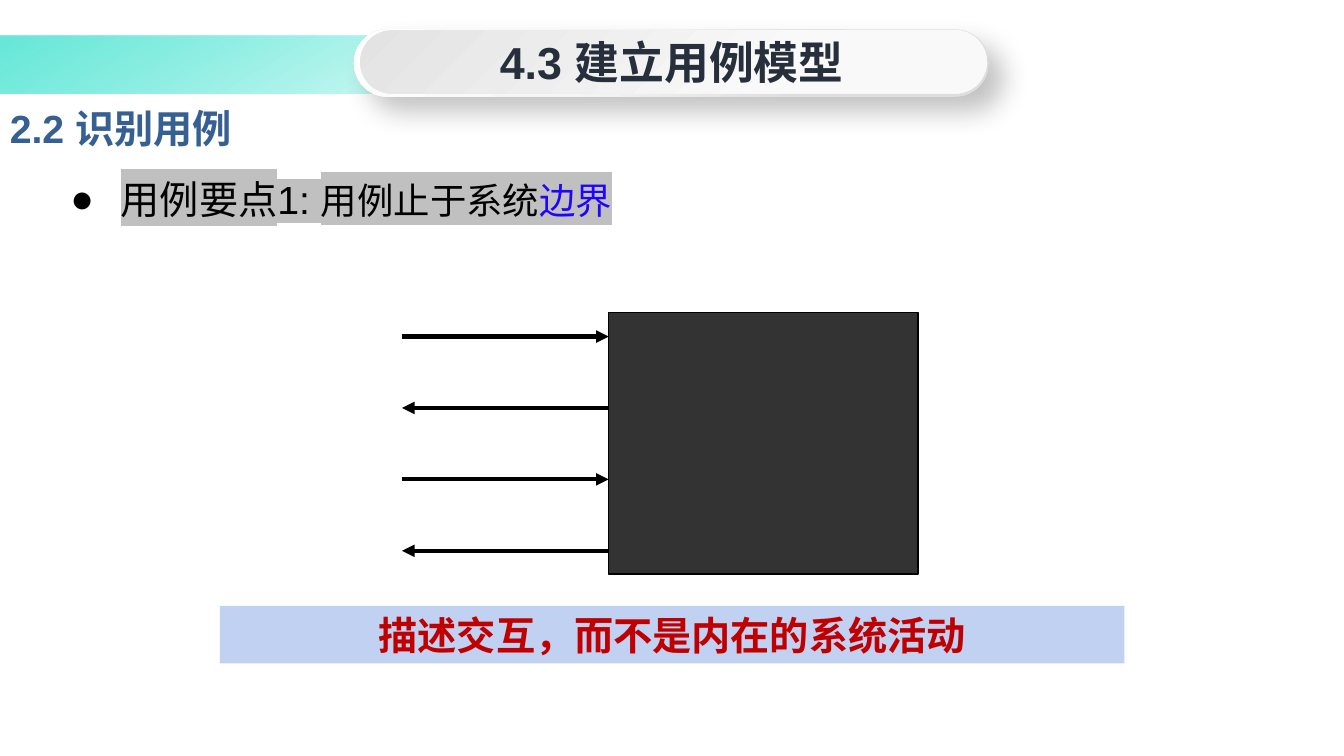
from dataclasses import dataclass

from lxml import etree
from pptx import Presentation
from pptx.dml.color import RGBColor
from pptx.enum.shapes import MSO_CONNECTOR, MSO_SHAPE
from pptx.enum.text import MSO_ANCHOR, MSO_AUTO_SIZE, PP_ALIGN
from pptx.oxml import parse_xml
from pptx.oxml.ns import nsdecls, qn
from pptx.util import Cm, Pt

RECT = MSO_SHAPE.RECTANGLE
PILL = MSO_SHAPE.ROUNDED_RECTANGLE
LINE = MSO_CONNECTOR.STRAIGHT
MIDDLE = MSO_ANCHOR.MIDDLE
TOP = MSO_ANCHOR.TOP
LEFT = PP_ALIGN.LEFT
CENTER = PP_ALIGN.CENTER
FIXED = MSO_AUTO_SIZE.NONE


@dataclass(frozen=True)
class Theme:
    font: str = "Arial"
    title: str = "262F3B"
    section: str = "376092"
    ink: str = "000000"
    accent: str = "2104FA"
    alert: str = "C00000"
    mark: str = "C0C0C0"
    box: str = "333333"
    banner: str = "C0D1F1"
    # Gradient stops: position %, colour, opacity %
    band: tuple = ((1, "4EE4D2", 85), (50, "20E2CB", 0))
    rim: tuple = ((1, "DEDEDE", 100), (30, "E0E0E0", 100),
                  (61, "F6F6F6", 100), (100, "FFFFFF", 100))
    face: tuple = ((0, "E3E3E3", 100), (67, "F9F9F9", 100))
    big: int = 32
    mid: int = 28
    small: int = 26


THEME = Theme()


def rgb(color):
    return RGBColor.from_string(color)


def add_box(slide, kind, at, fill=None):
    box = slide.shapes.add_shape(kind, *map(Cm, at))
    box.shadow.inherit = False
    box.line.fill.background()
    if kind == PILL:
        box.adjustments[0] = 0.5
    if fill:
        box.fill.solid()
        box.fill.fore_color.rgb = rgb(fill)
    return box


def add_blend(slide, kind, at, stops, angle):
    """Add a shape with a linear gradient; the angle runs clockwise."""
    box = add_box(slide, kind, at)
    marks = "".join(
        f'<a:gs pos="{pos * 1000}"><a:srgbClr val="{color}">'
        f'<a:alpha val="{alpha * 1000}"/></a:srgbClr></a:gs>'
        for pos, color, alpha in stops)
    blend = parse_xml(
        f'<a:gradFill {nsdecls("a")} rotWithShape="1"><a:gsLst>{marks}</a:gsLst>'
        f'<a:lin ang="{angle * 60000}" scaled="0"/></a:gradFill>')
    box.element.spPr.find(qn("a:prstGeom")).addnext(blend)
    return box


def add_shade(box):
    """Give the shape a soft shadow towards the lower right."""
    effects = box.element.spPr.find(qn("a:effectLst"))
    effects.append(parse_xml(
        f'<a:outerShdw {nsdecls("a")} blurRad="{Pt(19)}" dist="{Pt(14)}" '
        'dir="2700000" algn="tl" rotWithShape="0"><a:srgbClr val="000000">'
        '<a:alpha val="24000"/></a:srgbClr></a:outerShdw>'))


def place(shape, at):
    shape.left, shape.top, shape.width, shape.height = map(Cm, at)


def style(run, size, color, bold=False, mark=None):
    font = run.font
    font.size = Pt(size)
    font.bold = bold
    font.color.rgb = rgb(color)
    if mark:
        light = etree.SubElement(run._r.get_or_add_rPr(), qn("a:highlight"))
        etree.SubElement(light, qn("a:srgbClr"), val=mark)
    font.name = THEME.font


def set_frame(frame, anchor):
    frame.word_wrap = True
    frame.auto_size = FIXED
    frame.vertical_anchor = anchor


def write(shape, text, size, color, align):
    """Fill the shape with one bold line."""
    frame = shape.text_frame
    set_frame(frame, MIDDLE)
    frame.text = text
    para = frame.paragraphs[0]
    para.alignment = align
    style(para.runs[0], size, color, bold=True)


def write_point(body, parts):
    """Fill the body with one bulleted line of marked runs."""
    frame = body.text_frame
    set_frame(frame, TOP)
    para = frame.paragraphs[0]
    props = para._p.get_or_add_pPr()
    props.set("marL", str(Cm(1.27)))
    props.set("indent", str(-Cm(1.27)))
    etree.SubElement(props, qn("a:buFont"), typeface=THEME.font)
    etree.SubElement(props, qn("a:buChar"), char="●")
    para.line_spacing = 1.3
    para.space_before = Pt(0)
    para.alignment = LEFT
    for text, size, color in parts:
        run = para.add_run()
        run.text = text
        style(run, size, color, mark=THEME.mark)


def add_arrow(slide, start, end, y):
    arrow = slide.shapes.add_connector(LINE, Cm(start), Cm(y), Cm(end), Cm(y))
    arrow.line.color.rgb = rgb(THEME.ink)
    arrow.line.width = Pt(3)
    etree.SubElement(arrow.line._get_or_add_ln(), qn("a:tailEnd"), type="triangle")
    etree.SubElement(arrow.element.spPr, qn("a:effectLst"))


def add_header(slide):
    add_blend(slide, RECT, (-0.03, 0.91, 33.45, 1.45), THEME.band, 60)
    rim = add_blend(slide, PILL, (8.92, 0.74, 16, 1.7), THEME.rim, 225)
    add_shade(rim)
    add_blend(slide, PILL, (9.07, 0.76, 15.8, 1.6), THEME.face, 45)
    title = slide.shapes.title
    place(title, (9.68, 0.74, 14.5, 1.63))
    write(title, "4.3 建立用例模型", THEME.big, THEME.title, CENTER)
    # Bring the title in front of the pill
    title.element.getparent().append(title.element)


def add_system(slide):
    """Draw the closed system with arrows going in and out in turn."""
    outer, edge = 10.13, 15.34
    box = add_box(slide, RECT, (edge, 7.87, 7.8, 6.6), THEME.box)
    box.line.color.rgb = rgb(THEME.ink)
    box.line.width = Pt(1)
    for row in range(4):
        ends = (edge, outer) if row % 2 else (outer, edge)
        add_arrow(slide, *ends, 8.48 + 1.8 * row)


def main():
    deck = Presentation()
    deck.slide_width, deck.slide_height = Cm(33.87), Cm(19.05)
    slide = deck.slides.add_slide(deck.slide_layouts[1])
    body = slide.placeholders[1]

    add_header(slide)
    section = slide.shapes.add_textbox(*map(Cm, (0, 2.36, 33.99, 1.7)))
    write(section, "2.2 识别用例", THEME.mid, THEME.section, LEFT)

    place(body, (1.52, 3.94, 29.82, 3.15))
    write_point(body, (("用例要点1: ", THEME.mid, THEME.ink),
                       ("用例止于系统", THEME.small, THEME.ink),
                       ("边界", THEME.small, THEME.accent)))

    add_system(slide)
    banner = add_box(slide, RECT, (5.54, 15.27, 22.8, 1.45), THEME.banner)
    write(banner, "描述交互，而不是内在的系统活动", THEME.mid, THEME.alert, CENTER)
    deck.save("out.pptx")


if __name__ == "__main__":
    main()
